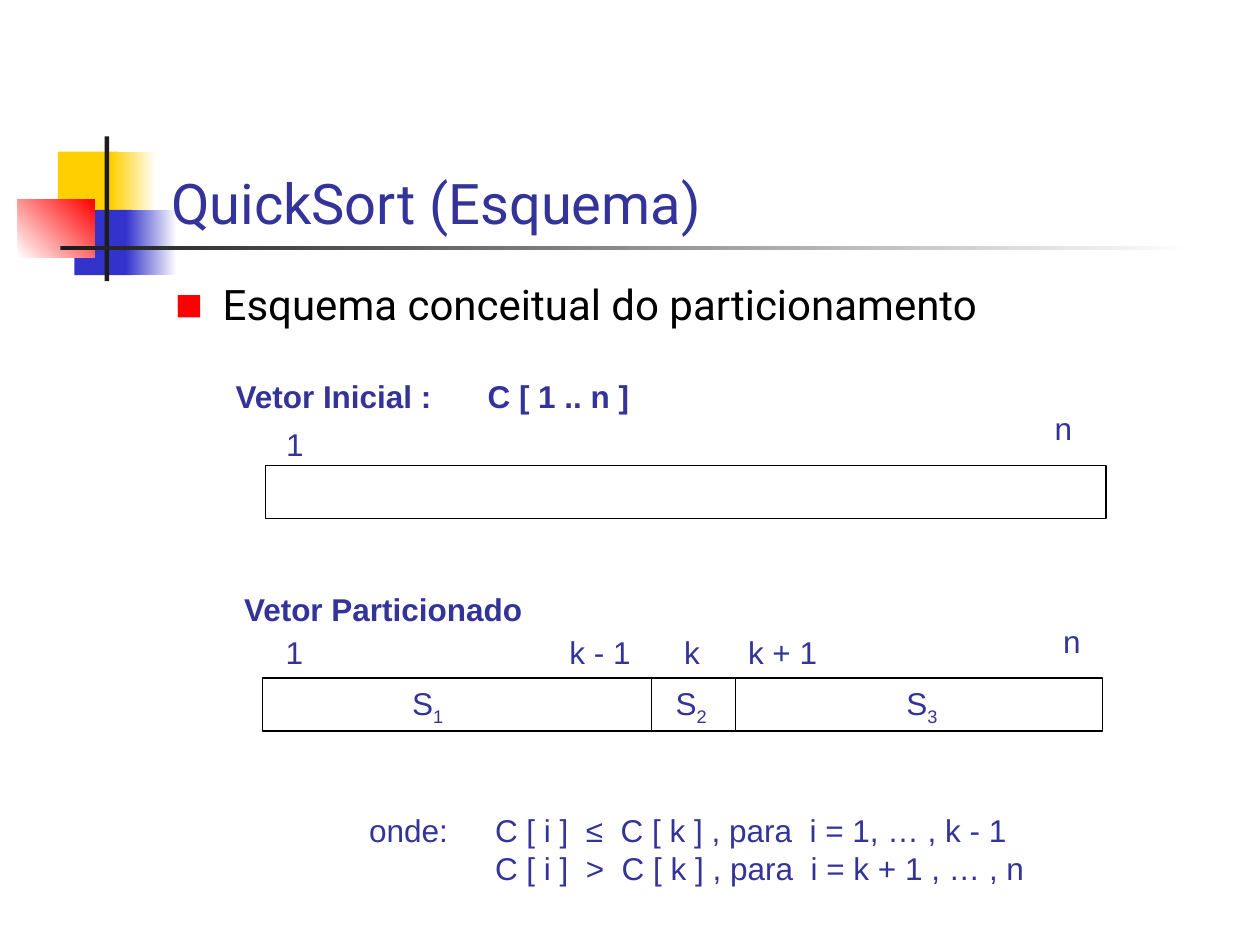
from dataclasses import dataclass

from lxml.etree import SubElement
from pptx import Presentation
from pptx.dml.color import RGBColor
from pptx.enum.shapes import MSO_CONNECTOR, MSO_SHAPE
from pptx.enum.text import MSO_ANCHOR, MSO_AUTO_SIZE
from pptx.oxml import parse_xml
from pptx.oxml.ns import nsdecls, qn
from pptx.util import Cm, Pt


@dataclass(frozen=True)
class Theme:
    ink: str = "333399"
    black: str = "000000"
    white: str = "FFFFFF"
    gold: str = "FFCF01"
    blue: str = "3333CC"
    red: str = "FF0000"
    dark: str = "1C1C1C"
    head: str = "Roboto"
    body: str = "Arial"
    title: int = 32
    point: int = 24
    label: int = 18
    line: float = 0.75


THEME = Theme()
ROW = 1.02
BAR = (16.94, 1.07)


def rgb(code):
    return RGBColor.from_string(code)


def block(shapes, box, color, end=None, angle=0):
    """Add a plain rectangle, or one that fades from color to end."""
    shape = shapes.add_shape(MSO_SHAPE.RECTANGLE, *map(Cm, box))
    shape.shadow.inherit = False
    shape.line.fill.background()
    if end is None:
        shape.fill.solid()
        shape.fill.fore_color.rgb = rgb(color)
    else:
        shape.fill.gradient()
        shape.fill.gradient_angle = angle
        for stop, code in zip(shape.fill.gradient_stops, (color, end)):
            stop.color.rgb = rgb(code)
    return shape


def write(shapes, box, text, size=THEME.label, font=THEME.body,
          color=THEME.ink, bold=False, wrap=False):
    """Add text that wraps in its box, or whose box grows to fit it."""
    frame = shapes.add_textbox(*map(Cm, box)).text_frame
    frame.word_wrap = wrap
    if not wrap:
        frame.auto_size = MSO_AUTO_SIZE.SHAPE_TO_FIT_TEXT
    frame.text = text
    for par in frame.paragraphs:
        par.font.size = Pt(size)
        par.font.name = font
        par.font.color.rgb = rgb(color)
        par.font.bold = bold
    return frame


def extend(par, xml):
    """Put paragraph properties in front of the font defaults."""
    fonts = par._p.get_or_add_pPr().find(qn("a:defRPr"))
    for node in list(parse_xml(f"<a:pPr {nsdecls('a')}>{xml}</a:pPr>")):
        fonts.addprevious(node)


def set_tabs(frame):
    stops = "".join(f'<a:tab pos="{Cm(2.54 * n)}" algn="l"/>' for n in (1, 2))
    for par in frame.paragraphs:
        extend(par, f"<a:tabLst>{stops}</a:tabLst>")


def emblem(shapes, x, y):
    t = THEME
    parts = [
        (0.81, 0.31, 1.22, 1.32, t.gold),
        (1.88, 0.31, 0.91, 1.32, t.gold, t.white),
        (1.14, 1.48, 1.17, 1.32, t.blue),
        (2.18, 1.48, 1.02, 1.32, t.blue, t.white),
        (0, 1.27, 1.55, 1.17, t.white, t.red, 45),
        (1.75, 0, 0.09, 2.92, t.dark),
        (0.86, 2.2, 22.86, 0.09, t.dark, t.white),
    ]
    for dx, dy, w, h, *paint in parts:
        block(shapes, (x + dx, y + dy, w, h), *paint)


def header(shapes, x, y):
    t = THEME
    title = write(shapes, (x, y, 21.64, 3.18), "QuickSort (Esquema)",
                  t.title, t.head, wrap=True)
    title.vertical_anchor = MSO_ANCHOR.BOTTOM
    point = write(shapes, (x + 0.08, y + 3.91, 21.59, 1.6),
                  "Esquema conceitual do particionamento",
                  t.point, t.head, t.black, wrap=True).paragraphs[0]
    point.line_spacing = 0.9
    point.space_before = point.space_after = Pt(12)
    props = point._p.get_or_add_pPr()
    props.set("marL", str(Cm(0.96)))
    props.set("indent", str(-Cm(0.96)))
    extend(point, f'<a:buClr><a:srgbClr val="{t.red}"/></a:buClr>'
                  f'<a:buSzPct val="110000"/><a:buFont typeface="{t.body}"/>'
                  '<a:buChar char="■"/>')


def vector(shapes, x, y, heading, labels):
    """Draw a bar at x, y with a heading and index labels above it."""
    text, dx, width = heading
    set_tabs(write(shapes, (x + dx, y - 1.91, width, ROW), text, bold=True))
    bar = block(shapes, (x, y, *BAR), THEME.white)
    bar.line.color.rgb = rgb(THEME.black)
    bar.line.width = Pt(THEME.line)
    for text, dx, dy, width in labels:
        write(shapes, (x + dx, y + dy, width, ROW), text)


def split(shapes, x, y):
    """Divide the bar at x, y into its three named parts."""
    for dx in (7.85, 9.53):
        rule = shapes.add_connector(MSO_CONNECTOR.STRAIGHT, Cm(x + dx), Cm(y),
                                    Cm(x + dx), Cm(y + BAR[1]))
        rule.line.color.rgb = rgb(THEME.black)
        rule.line.width = Pt(THEME.line)
        SubElement(rule._element.spPr, qn("a:effectLst"))
    for sub, dx in enumerate((2.77, 8.08, 12.73), 1):
        frame = write(shapes, (x + dx, y, 1.14, 1.12), "S")
        run = frame.paragraphs[0].add_run()
        run.text = str(sub)
        run._r.get_or_add_rPr().set("baseline", "-25000")


def legend(shapes, x, y):
    set_tabs(write(shapes, (x, y, 13.72, 1.78),
                   "onde:\tC [ i ]  ≤  C [ k ] , para  i = 1, … , k - 1\n"
                   "\tC [ i ]  >  C [ k ] , para  i = k + 1 , … , n"))


def main():
    deck = Presentation()
    deck.slide_width, deck.slide_height = Cm(25.4), Cm(19.05)
    shapes = deck.slides.add_slide(deck.slide_layouts[6]).shapes
    emblem(shapes, 0.36, 2.75)
    header(shapes, 3.2, 1.7)

    first = shapes.add_group_shape().shapes
    vector(first, 5.36, 9.39, ("Vetor Inicial : \tC [ 1 .. n ]", -0.86, 8.45),
           [("1", 0.16, -0.95, 0.86), ("n", 15.65, -1.26, 1.04)])

    x, y = 5.29, 13.67
    second = shapes.add_group_shape().shapes
    vector(second, x, y, ("Vetor Particionado", -0.62, 6.15),
           [("1", 0.22, -1.04, 0.86), ("k - 1", 5.94, -1.04, 1.75),
            ("k", 8.25, -1.04, 0.81), ("k + 1", 9.54, -1.04, 1.91),
            ("n", 15.89, -1.26, 0.86)])
    split(second, x, y)
    legend(second, x + 1.9, y + 2.55)
    deck.save("out.pptx")


if __name__ == "__main__":
    main()
